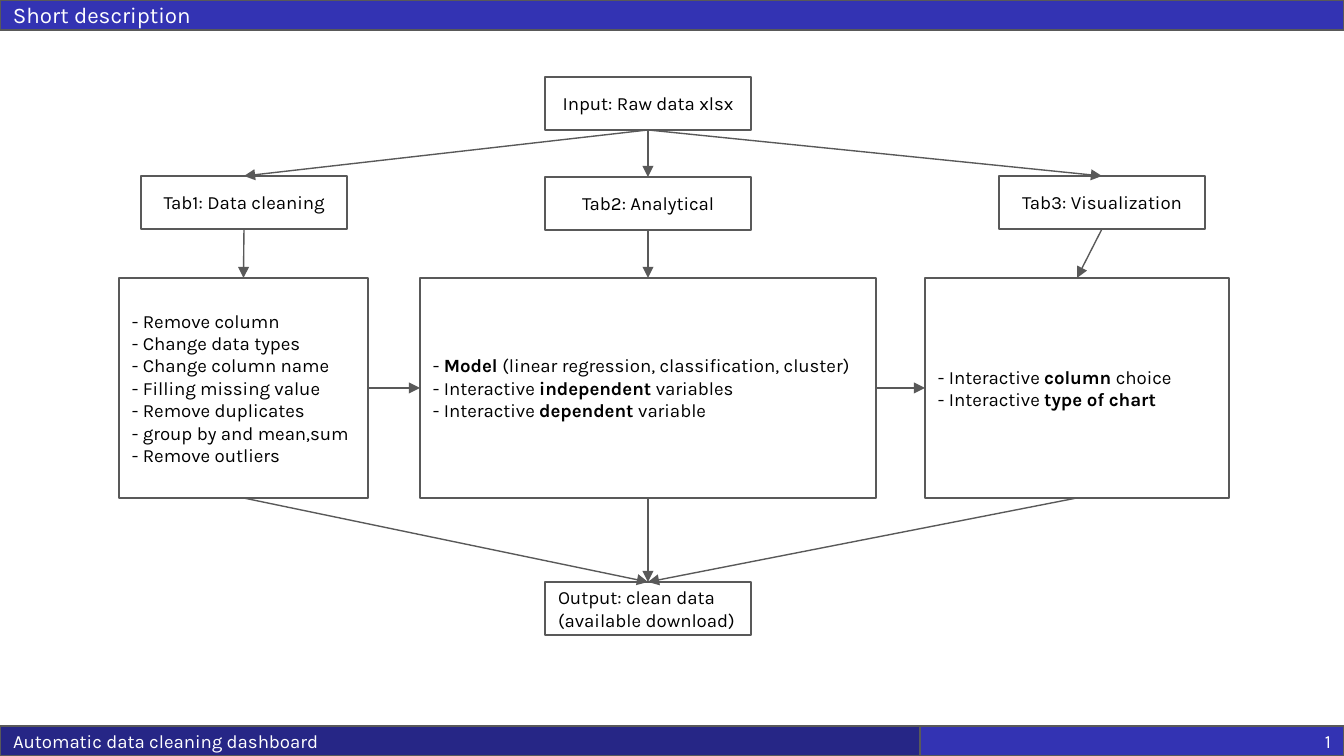
from lxml import etree
from pptx import Presentation
from pptx.dml.color import RGBColor
from pptx.enum.shapes import MSO_CONNECTOR, MSO_SHAPE
from pptx.enum.text import MSO_ANCHOR, PP_ALIGN
from pptx.oxml.ns import qn
from pptx.util import Pt

RECTANGLE = MSO_SHAPE.RECTANGLE
STRAIGHT = MSO_CONNECTOR.STRAIGHT
MIDDLE = MSO_ANCHOR.MIDDLE
LEFT, CENTER, RIGHT, JUSTIFY = PP_ALIGN.LEFT, PP_ALIGN.CENTER, PP_ALIGN.RIGHT, PP_ALIGN.JUSTIFY
TOP_SITE, LEFT_SITE, BOTTOM_SITE, RIGHT_SITE = range(4)
SCALE = 914400 / 134.4
COLORS = {
    "navy": "262686",
    "blue": "3333B3",
    "white": "FFFFFF",
    "black": "000000",
    "gray": "595959",
}


def px(length):
    return round(length * SCALE)


def add_box(page, bounds, lines, align, fill="white", ink="black", size=10):
    box = page.shapes.add_shape(RECTANGLE, *map(px, bounds))
    box.shadow.inherit = False
    box.fill.solid()
    box.fill.fore_color.rgb = RGBColor.from_string(COLORS[fill])
    box.line.color.rgb = RGBColor.from_string(COLORS["gray"])
    box.line.width = Pt(0.75)
    frame = box.text_frame
    frame.word_wrap = True
    frame.vertical_anchor = MIDDLE
    frame.margin_left = frame.margin_right = frame.margin_top = frame.margin_bottom = px(13)
    for index, line in enumerate(lines):
        para = frame.add_paragraph() if index else frame.paragraphs[0]
        para.alignment = align
        para.font.name = "Karla"
        para.font.size = Pt(size)
        para.font.color.rgb = RGBColor.from_string(COLORS[ink])
        for part, text in enumerate(line.split("*")):
            if text:
                span = para.add_run()
                span.text = text
                if part % 2:
                    span.font.bold = True
    return box


deck = Presentation()
deck.slide_width = px(1344)
deck.slide_height = px(756)
page = deck.slides.add_slide(deck.slide_layouts[6])

bars = [
    ((0, 726, 920, 30), "Automatic data cleaning dashboard", LEFT, "navy", 10),
    ((920, 726, 424, 30), "1", RIGHT, "blue", 10),
    ((0, 0, 1344, 30), "Short description", LEFT, "blue", 12),
]
for bounds, text, align, fill, size in bars:
    add_box(page, bounds, [text], align, fill, "white", size)

steps = {
    "input": (545, 77, "Input: Raw data xlsx", CENTER),
    "output": (545, 582, "Output: clean data (available download)", LEFT),
    "analytical": (545, 177, "Tab2: Analytical", CENTER),
    "visualization": (999, 176, "Tab3: Visualization", CENTER),
    "cleaning": (141, 176, "Tab1: Data cleaning", CENTER),
}
boxes = {}
for name, (left, top, text, align) in steps.items():
    boxes[name] = add_box(page, (left, top, 206, 53), [text], align)

panels = {
    "cleaning tasks": (119, 249, [
        "- Remove column",
        "- Change data types",
        "- Change column name",
        "- Filling missing value",
        "- Remove duplicates",
        "- group by and mean,sum",
        "- Remove outliers",
    ]),
    "models": (420, 456, [
        "- *Model *(linear regression, classification, cluster)",
        "- Interactive *independent *variables",
        "- Interactive *dependent *variable",
    ]),
    "charts": (925, 304, [
        "- Interactive *column *choice",
        "- Interactive *type of chart*",
    ]),
}
for name, (left, width, lines) in panels.items():
    boxes[name] = add_box(page, (left, 278, width, 220), lines, JUSTIFY)

down = (BOTTOM_SITE, TOP_SITE)
across = (RIGHT_SITE, LEFT_SITE)
arrows = [
    ("input", "cleaning", down),
    ("input", "analytical", down),
    ("input", "visualization", down),
    ("cleaning", "cleaning tasks", down),
    ("analytical", "models", down),
    ("visualization", "charts", down),
    ("cleaning tasks", "models", across),
    ("models", "charts", across),
    ("models", "output", down),
    ("charts", "output", down),
    ("cleaning tasks", "output", down),
]
for source, target, (start_site, end_site) in arrows:
    arrow = page.shapes.add_connector(STRAIGHT, 0, 0, 0, 0)
    arrow.begin_connect(boxes[source], start_site)
    arrow.end_connect(boxes[target], end_site)
    arrow.line.color.rgb = RGBColor.from_string(COLORS["gray"])
    arrow.line.width = Pt(0.75)
    etree.SubElement(arrow.line._get_or_add_ln(), qn("a:tailEnd"), type="triangle")
    etree.SubElement(arrow._element.spPr, qn("a:effectLst"))

deck.save("out.pptx")
